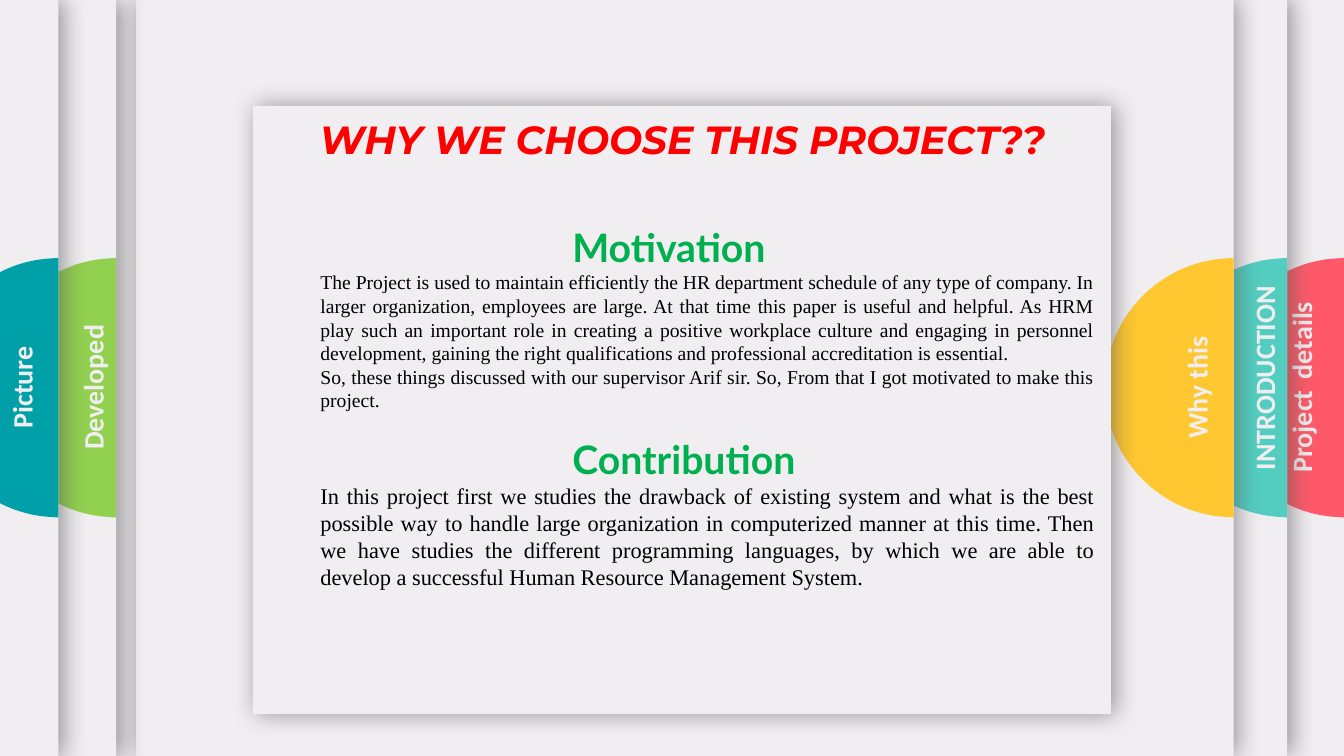
import pptx
import pptx.util
import pptx.dml.color
import pptx.enum.shapes
import pptx.enum.text
import pptx.oxml
import pptx.oxml.ns
from pptx.util import Cm, Pt

COLORS = {
    "panel": "F0EEF0", "shadow": "595959", "title": "FF0000",
    "heading": "00B050", "body": "000000", "coral": "FF5969",
    "mint": "52CDC0", "yellow": "FFC730", "green": "92D050", "teal": "00A0A8",
}
SLIDE_H = 19.05
TAB_TOP, TAB_W, TAB_H = 6.5, 3.25, 6.54
LABEL_W, LABEL_H = 5.54, 1.8

# Panel left, panel right, tab colour, label centre x and y, label runs (text, size)
BACK_TABS = [
    (-0.81, 33.87, "coral", 32.56, 9.76, [("Project", 20), (" ", 36), ("details", 20)]),
    (0.64, 32.44, "mint", 31.85, 9.53, [("INTRODUCTION", 20)]),
    (3.43, 31.09, "yellow", 30.15, 9.76, [("Why this", 20)]),
]
FRONT_TABS = [
    (-21.21, 2.93, "green", 2.33, 9.76, [("Developed", 20)]),
    (-26.09, 1.47, "teal", 0.54, 9.76, [("Picture", 20)]),
]

MOTIVATION = [
    "The Project is used to maintain efficiently the HR department schedule of any "
    "type of company. In larger organization, employees are large. At that time this "
    "paper is useful and helpful. As HRM play such an important role in creating a "
    "positive workplace culture and engaging in personnel development, gaining the "
    "right qualifications and professional accreditation is essential.",
    "So, these things discussed with our supervisor Arif sir. So, From that I got "
    "motivated to make this project.",
]
CONTRIBUTION = [
    "In this project first we studies the drawback of existing system and what is the "
    "best possible way to handle large organization in computerized manner at this "
    "time. Then we have studies the different programming languages, by which we are "
    "able to develop a successful Human Resource Management System.",
]


def rgb(name):
    return pptx.dml.color.RGBColor.from_string(COLORS[name])


def paint(sp, color):
    sp.shadow.inherit = False
    sp.fill.solid()
    sp.fill.fore_color.rgb = rgb(color)
    sp.line.fill.background()


def add_run(p, text, size, font, color, bold=False, italic=False):
    r = p.add_run()
    r.text = text
    r.font.size = Pt(size)
    r.font.name = font
    r.font.color.rgb = rgb(color)
    r.font.bold = bold
    r.font.italic = italic


def place(sp, left, top, width, height):
    sp.left, sp.top, sp.width, sp.height = Cm(left), Cm(top), Cm(width), Cm(height)


def add_panel(s, left, top, width, height):
    sp = s.shapes.add_shape(pptx.enum.shapes.MSO_SHAPE.RECTANGLE,
                            Cm(left), Cm(top), Cm(width), Cm(height))
    paint(sp, "panel")
    effects = sp.element.spPr.find(pptx.oxml.ns.qn("a:effectLst"))
    effects.append(pptx.oxml.parse_xml(
        f'<a:outerShdw {pptx.oxml.ns.nsdecls("a")} blurRad="{Pt(17)}" dist="{Pt(3)}" '
        f'dir="0" algn="ctr" rotWithShape="0"><a:srgbClr val="{COLORS["shadow"]}">'
        '<a:alpha val="60000"/></a:srgbClr></a:outerShdw>'))


def bend(segment, controls):
    """Turn a straight segment into a curve with two control points."""
    segment.tag = pptx.oxml.ns.qn("a:cubicBezTo")
    for i, (x, y) in enumerate(controls):
        segment.insert(i, pptx.oxml.parse_xml(
            f'<a:pt {pptx.oxml.ns.nsdecls("a")} x="{Cm(x)}" y="{Cm(y)}"/>'))


def add_half_disc(s, right, color):
    shoulder = 2.95
    corners = [(TAB_W, TAB_H), (shoulder, TAB_H - 0.02), (0, TAB_H / 2), (shoulder, 0.02)]
    builder = s.shapes.build_freeform(Cm(TAB_W), 0)
    builder.add_line_segments([(Cm(x), Cm(y)) for x, y in corners], close=True)
    sp = builder.convert_to_shape(Cm(right - TAB_W), Cm(TAB_TOP))
    segments = list(sp.element.iter(pptx.oxml.ns.qn("a:lnTo")))
    lower = [(1.3, 6.37), (0, 4.97)]
    bend(segments[2], lower)
    bend(segments[3], [(x, TAB_H - y) for x, y in reversed(lower)])
    place(sp, right - TAB_W, TAB_TOP, TAB_W, TAB_H)
    paint(sp, color)


def add_label(s, center, middle, runs):
    sp = s.shapes.add_textbox(Cm(center - LABEL_W / 2), Cm(middle - LABEL_H / 2),
                              Cm(LABEL_W), Cm(LABEL_H))
    sp.rotation = 270
    tf = sp.text_frame
    tf.word_wrap = True
    tf.vertical_anchor = pptx.enum.text.MSO_ANCHOR.MIDDLE
    p = tf.paragraphs[0]
    p.alignment = pptx.enum.text.PP_ALIGN.CENTER
    for text, size in runs:
        add_run(p, text, size, "Calibri", "panel", bold=True)


def add_tab(s, left, right, color, center, middle, runs):
    add_panel(s, left, 0, right - left, SLIDE_H)
    add_half_disc(s, right, color)
    add_label(s, center, middle, runs)


def bring_to_front(sp):
    sp.element.getparent().append(sp.element)


def fill_title(sp, text):
    place(sp, 6.38, 2.65, 21.62, 1.68)
    tf = sp.text_frame
    tf.auto_size = pptx.enum.text.MSO_AUTO_SIZE.NONE
    tf.vertical_anchor = pptx.enum.text.MSO_ANCHOR.MIDDLE
    p = tf.paragraphs[0]
    p.alignment = pptx.enum.text.PP_ALIGN.CENTER
    add_run(p, text, 28, "Montserrat", "title", bold=True, italic=True)


def format_paragraph(p, indent, before=0):
    pPr = p._p.get_or_add_pPr()
    pPr.set("marL", str(Cm(indent)))
    pPr.set("indent", "0")
    pPr.append(pptx.oxml.parse_xml(f'<a:buNone {pptx.oxml.ns.nsdecls("a")}/>'))
    p.space_before = Pt(before)


def add_section(tf, heading, texts, size, first=False):
    p = tf.paragraphs[0] if first else tf.add_paragraph()
    format_paragraph(p, 7.62, 0 if first else 17)
    p.alignment = pptx.enum.text.PP_ALIGN.LEFT
    add_run(p, heading, 28, "Lato", "heading", bold=True)
    for text in texts:
        p = tf.add_paragraph()
        format_paragraph(p, 1.27)
        p.alignment = pptx.enum.text.PP_ALIGN.JUSTIFY
        add_run(p, text, size, "Times New Roman", "body")


def main():
    prs = pptx.Presentation()
    prs.slide_width, prs.slide_height = Cm(33.87), Cm(SLIDE_H)
    s = prs.slides.add_slide(prs.slide_layouts[1])
    title, body = s.placeholders

    # Stacked panels with their tabs, and the central card between them
    for tab in BACK_TABS:
        add_tab(s, *tab)
    add_panel(s, 6.38, 2.67, 21.62, 15.32)
    for tab in FRONT_TABS:
        add_tab(s, *tab)

    # Title and text on the card
    fill_title(title, "WHY WE CHOOSE THIS PROJECT??")
    place(body, 6.55, 5.5, 21.29, 12)
    tf = body.text_frame
    tf.auto_size = pptx.enum.text.MSO_AUTO_SIZE.NONE
    add_section(tf, "Motivation", MOTIVATION, 14, first=True)
    add_section(tf, "Contribution", CONTRIBUTION, 16)
    bring_to_front(title)
    bring_to_front(body)

    prs.save("out.pptx")


if __name__ == "__main__":
    main()
